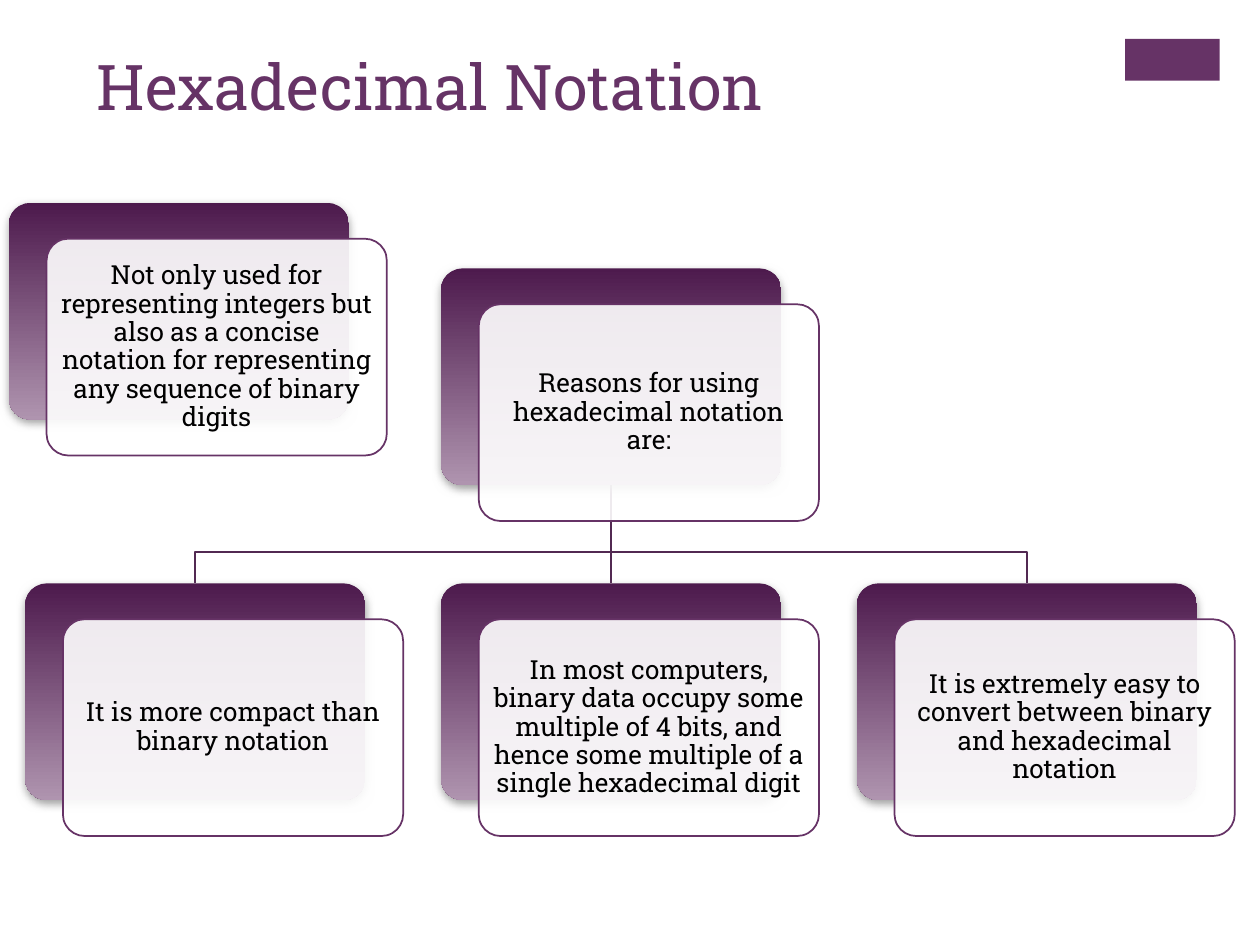
"""Build the Hexadecimal Notation slide with its tree of layered cards."""
from lxml.etree import SubElement
from pptx import Presentation
from pptx.dml.color import RGBColor as RGB
from pptx.enum.shapes import MSO_CONNECTOR as LINK, MSO_SHAPE as SHAPE
from pptx.enum.text import MSO_ANCHOR as ANCHOR, PP_ALIGN as ALIGN
from pptx.oxml.ns import qn
from pptx.util import Inches, Pt

FONT = "Roboto Slab"
HUES = {"plum": "663366", "dark": "4D1A4D", "light": "AF94AF", "line": "522952",
        "white": "FFFFFF", "black": "000000", "shade": "808080"}
TITLE = "Hexadecimal Notation"
NOTE = "Not only used for representing integers but also as a concise notation for representing any sequence of binary digits"
ROOT = "Reasons for using hexadecimal notation are:"
LEAVES = [
    "It is more compact than binary notation",
    "In most computers, binary data occupy some multiple of 4 bits, and hence some multiple of a single hexadecimal digit",
    "It is extremely easy to convert between binary and hexadecimal notation",
]
WIDE, HIGH = 2.7, 1.72
SHIFT_X, SHIFT_Y = 0.3, 0.285
LEFT, STEP = 0.2, 3.3
ROOT_TOP, LEAF_TOP, BEND = 2.13, 4.63, 4.38


def hue(name):
    return RGB.from_string(HUES[name])


def style(run, size, name):
    run.font.name, run.font.size = FONT, Pt(size)
    run.font.color.rgb = hue(name)


def stroke(shape, name):
    shape.line.color.rgb = hue(name)
    shape.line.width = Pt(1)


def panel(slide, x, y):
    box = slide.shapes.add_shape(SHAPE.ROUNDED_RECTANGLE, Inches(x), Inches(y),
                                 Inches(WIDE), Inches(HIGH))
    box.adjustments[0] = 0.1
    box.shadow.inherit = False
    return box


def shade(box):
    glow = SubElement(box._element.spPr.find(qn("a:effectLst")), qn("a:outerShdw"),
                      blurRad=str(Pt(5)), dist=str(Pt(2)), dir="5400000", rotWithShape="0")
    tint = SubElement(glow, qn("a:srgbClr"), val=HUES["shade"])
    SubElement(tint, qn("a:alpha"), val="75000")


def card(slide, x, y, text):
    back = panel(slide, x, y)
    back.fill.gradient()
    back.fill.gradient_angle = 270
    for stop, spot, name in zip(back.fill.gradient_stops, (0, 1), ("dark", "light")):
        stop.position = spot
        stop.color.rgb = hue(name)
    back.line.fill.background()
    shade(back)

    front = panel(slide, x + SHIFT_X, y + SHIFT_Y)
    front.fill.solid()
    front.fill.fore_color.rgb = hue("white")
    tint = front._element.spPr.find(qn("a:solidFill")).find(qn("a:srgbClr"))
    SubElement(tint, qn("a:alpha"), val="90000")
    stroke(front, "plum")
    frame = front.text_frame
    frame.text = text
    frame.word_wrap = True
    frame.vertical_anchor = ANCHOR.MIDDLE
    frame.margin_left = frame.margin_right = Inches(0.06)
    frame.margin_top = frame.margin_bottom = Inches(0.06)
    para = frame.paragraphs[0]
    para.alignment, para.line_spacing = ALIGN.CENTER, 0.9
    style(para.runs[0], 15, "black")
    return back


def elbow(slide, start, end):
    pen = slide.shapes.build_freeform(Inches(start), Inches(ROOT_TOP + HIGH))
    pen.add_line_segments([(Inches(x), Inches(y)) for x, y in
                           ((start, BEND), (end, BEND), (end, LEAF_TOP))], close=False)
    path = pen.convert_to_shape()
    path.fill.background()
    path.shadow.inherit = False
    stroke(path, "line")


def main():
    deck = Presentation()
    deck.slide_width, deck.slide_height = Inches(10), Inches(7.5)
    slide = deck.slides.add_slide(deck.slide_layouts[6])

    tab = slide.shapes.add_shape(SHAPE.RECTANGLE, Inches(8.93), Inches(0.31),
                                 Inches(0.75), Inches(0.33))
    tab.fill.solid()
    tab.fill.fore_color.rgb = hue("plum")
    tab.line.fill.background()
    tab.shadow.inherit = False

    head = slide.shapes.add_textbox(Inches(0.67), Inches(0.33), Inches(8.26), Inches(1.22))
    head.text_frame.word_wrap = True
    head.text_frame.text = TITLE
    style(head.text_frame.paragraphs[0].runs[0], 36, "plum")

    cols = [LEFT + STEP * i for i in range(len(LEAVES))]
    mids = [x + WIDE / 2 for x in cols]
    elbow(slide, mids[1], mids[2])
    stem = slide.shapes.add_connector(LINK.STRAIGHT, Inches(mids[1]), Inches(ROOT_TOP + HIGH),
                                      Inches(mids[1]), Inches(LEAF_TOP))
    stroke(stem, "line")
    SubElement(stem._element.spPr, qn("a:effectLst"))
    elbow(slide, mids[1], mids[0])

    card(slide, 0.07, 1.61, NOTE)
    root = card(slide, cols[1], ROOT_TOP, ROOT)
    leaves = [card(slide, x, LEAF_TOP, text) for x, text in zip(cols, LEAVES)]
    stem.begin_connect(root, 2)
    stem.end_connect(leaves[1], 0)

    deck.save("out.pptx")


if __name__ == "__main__":
    main()
